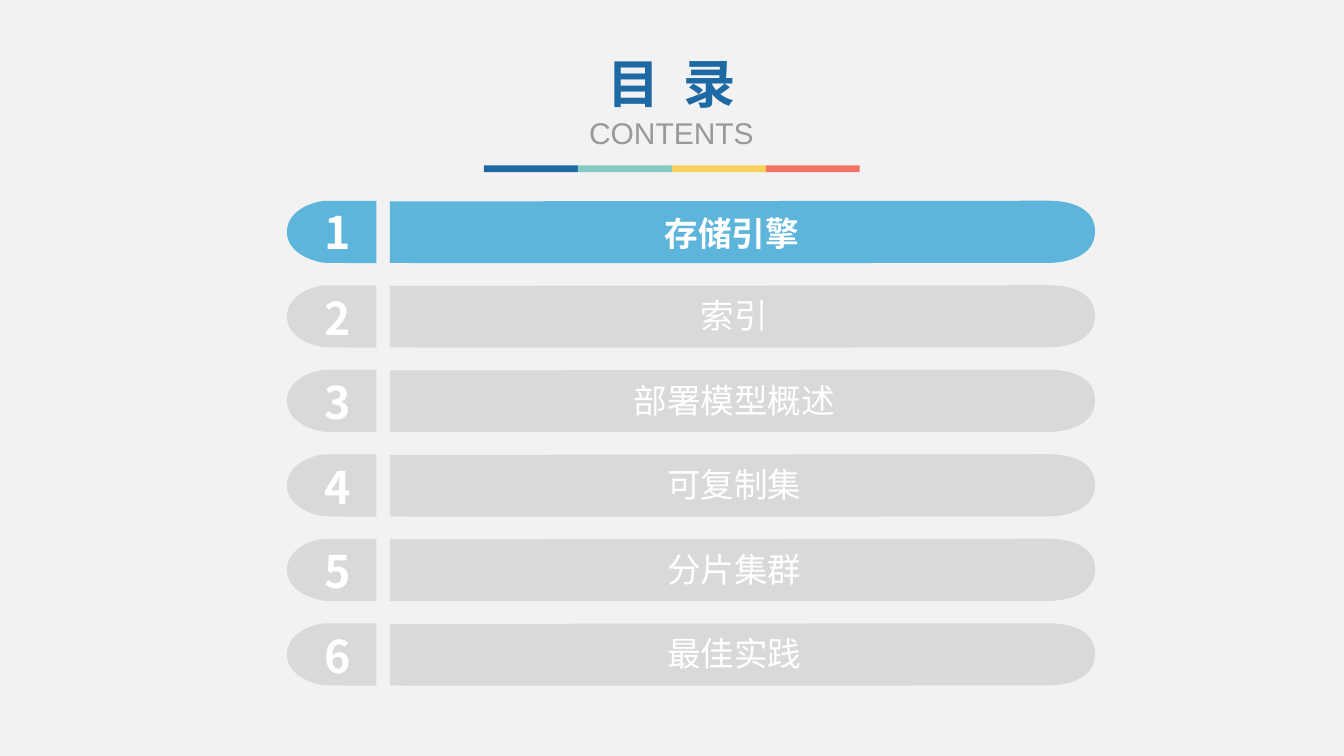
from lxml.etree import SubElement
from pptx import Presentation
from pptx.dml.color import RGBColor
from pptx.enum.shapes import MSO_SHAPE
from pptx.enum.text import PP_ALIGN
from pptx.oxml.ns import qn
from pptx.util import Pt

COLORS = {
    "page": "F2F2F2", "navy": "1D69A3", "teal": "84CBC3", "yellow": "F8D158",
    "coral": "F57365", "active": "5DB5DB", "idle": "D9D9D9",
    "gray": "999999", "white": "FFFFFF",
}
CJK = "Noto Sans CJK SC"
TOPICS = ["存储引擎", "索引", "部署模型概述", "可复制集", "分片集群", "最佳实践"]
ROW_TOP, ROW_PITCH = 143.4, 60.36
CAP = [
    [(63.9, 0)],
    [(63.9, 22.3), (63.9, 44.6), (63.9, 44.6)],
    [(28.1, 44.4)],
    [(23, 44.4), (0, 39.2), (0, 22.3)],
    [(0, 5.4), (21.6, 0), (28.1, 0)],
    [(63.9, 0)],
]
BAR = [
    [(0, 0.5)],
    [(0, 44.4)],
    [(17.3, 44.8), (457.8, 44.4), (470.5, 44.4)],
    [(483.3, 44.4), (503.3, 39.8), (503.6, 22.4)],
    [(504, 5), (486.2, 0), (470.5, 0)],
    [(455, 0), (17, 0.5), (0, 0.5)],
]


def write(p, text, size, color, font=CJK, bold=False, spacing=0):
    p.alignment = PP_ALIGN.CENTER
    r = p.add_run()
    r.text = text
    r.font.size = Pt(size)
    r.font.bold = bold
    r.font.name = font
    r.font.color.rgb = RGBColor.from_string(COLORS[color])
    rPr = r.font._element
    SubElement(rPr, qn("a:ea")).set("typeface", CJK)
    if spacing:
        rPr.set("spc", str(round(spacing * 100)))


class Canvas:
    """Draws styled elements on the current slide."""

    def __init__(self, prs):
        self.slide = prs.slides.add_slide(prs.slide_layouts[6])
        self.shapes = self.slide.shapes
        fill = self.slide.background.fill
        fill.solid()
        fill.fore_color.rgb = RGBColor.from_string(COLORS["page"])

    def start_group(self):
        self.shapes = self.slide.shapes.add_group_shape().shapes

    def end_group(self):
        self.shapes = self.slide.shapes

    def paint(self, sp, color):
        sp.shadow.inherit = False
        sp.fill.solid()
        sp.fill.fore_color.rgb = RGBColor.from_string(COLORS[color])
        sp.line.fill.background()

    def rect(self, x, y, w, h, color):
        sp = self.shapes.add_shape(MSO_SHAPE.RECTANGLE, Pt(x), Pt(y), Pt(w), Pt(h))
        self.paint(sp, color)

    def outline(self, x, y, segments, color):
        ends = [(Pt(x + seg[-1][0]), Pt(y + seg[-1][1])) for seg in segments]
        builder = self.shapes.build_freeform(*ends[0])
        builder.add_line_segments(ends[1:], close=True)
        sp = builder.convert_to_shape()
        lines = list(sp._element.iter(qn("a:lnTo")))
        for line, seg in zip(lines, segments[1:]):
            if len(seg) == 3:
                line.tag = qn("a:cubicBezTo")
                line.remove(line[0])
                for dx, dy in seg:
                    pt = SubElement(line, qn("a:pt"))
                    pt.set("x", str(int(Pt(dx))))
                    pt.set("y", str(int(Pt(dy))))
        self.paint(sp, color)

    def text_box(self, x, y, w, h, wrap=True):
        tf = self.shapes.add_textbox(Pt(x), Pt(y), Pt(w), Pt(h)).text_frame
        tf.word_wrap = wrap
        return tf


def main():
    prs = Presentation()
    prs.slide_width, prs.slide_height = Pt(960), Pt(540)
    canvas = Canvas(prs)

    canvas.start_group()
    for i, color in enumerate(["navy", "teal", "yellow", "coral"]):
        canvas.rect(345.7 + i * 67.1, 118.1, 67.1, 5, color)
    canvas.end_group()

    tf = canvas.text_box(401.8, 33.1, 155.5, 78.5)
    write(tf.paragraphs[0], "目 录", 37.4, "navy", font="Arial Narrow",
          bold=True, spacing=4.25)
    write(tf.add_paragraph(), "CONTENTS", 21.4, "gray", font="Arial")

    for i, topic in enumerate(TOPICS):
        active = i == 0
        color = "active" if active else "idle"
        y = ROW_TOP + i * ROW_PITCH
        canvas.start_group()
        canvas.outline(205, y, CAP, color)
        canvas.outline(278.6, y, BAR, color)
        tf = canvas.text_box(224.2, y - 1 if active else y, 34.6, 46, wrap=False)
        write(tf.paragraphs[0], str(i + 1), 32, "white", bold=True)
        left, top, width = (283.4, 4.8, 478.8) if active else (281.9, 3.6, 485.3)
        tf = canvas.text_box(left, y + top, width, 36)
        write(tf.paragraphs[0], topic, 24, "white", bold=active)
        canvas.end_group()

    prs.save("out.pptx")


if __name__ == "__main__":
    main()
